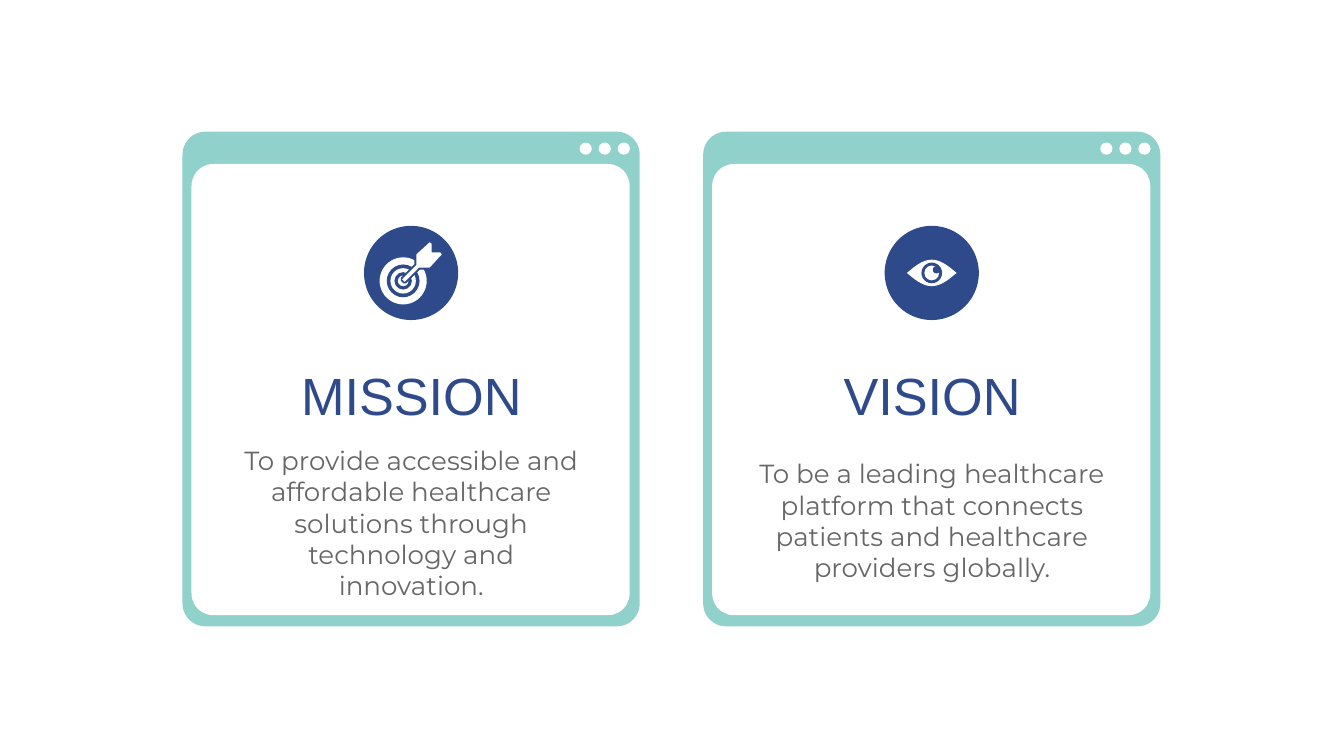
from math import cos, pi

from pptx import Presentation
from pptx.dml.color import RGBColor
from pptx.enum.shapes import MSO_SHAPE as Shape
from pptx.enum.text import MSO_ANCHOR as Anchor, MSO_AUTO_SIZE as AutoSize, PP_ALIGN as Align
from pptx.util import Cm, Pt

TEAL, NAVY, WHITE, GREY = "90D1CB", "2F4A8A", "FFFFFF", "666666"
CARD_WIDTH, CARD_HEIGHT = 8.64, 9.35
CARD_LEFT, CARD_TOP, CARD_PITCH = 3.45, 2.49, 9.84
ICON_SIZE = 1.78
HEADING = {"size": Pt(28), "name": "Arial"}
BODY = {"size": Pt(14), "name": "Montserrat"}


def color(value):
    return RGBColor.from_string(value)


def paint(shape, fill, line=None):
    shape.shadow.inherit = False
    shape.fill.solid()
    shape.fill.fore_color.rgb = color(fill)
    if line:
        shape.line.color.rgb = color(line)
        shape.line.width = Pt(2)
    else:
        shape.line.fill.background()


def add_panel(slide, left, top, width, height, fill):
    panel = slide.shapes.add_shape(Shape.ROUNDED_RECTANGLE, Cm(left), Cm(top), Cm(width), Cm(height))
    panel.adjustments[0] = 0.05
    paint(panel, fill)


def add_disc(slide, x, y, size, fill):
    """Draw a circle around the centre x, y."""
    disc = slide.shapes.add_shape(
        Shape.OVAL, Cm(x - size / 2), Cm(y - size / 2), Cm(size), Cm(size))
    paint(disc, fill)


def add_outline(slide, x, y, points, fill, line=None):
    """Draw a closed polygon whose points are relative to x, y."""
    corners = [(Cm(x + dx), Cm(y + dy)) for dx, dy in points]
    builder = slide.shapes.build_freeform(*corners[0])
    builder.add_line_segments(corners[1:], close=True)
    paint(builder.convert_to_shape(), fill, line)


def write(shape, box, text, font_format, text_color, anchor):
    shape.left, shape.top, shape.width, shape.height = map(Cm, box)
    frame = shape.text_frame
    frame_format = {
        "word_wrap": True, "auto_size": AutoSize.NONE, "vertical_anchor": anchor,
        **{f"margin_{side}": Cm(0.25) for side in ("left", "top", "right", "bottom")},
    }
    for name, value in frame_format.items():
        setattr(frame, name, value)
    paragraph = frame.paragraphs[0]
    paragraph.alignment = Align.CENTER
    run = paragraph.add_run()
    run.text = text
    for name, value in font_format.items():
        setattr(run.font, name, value)
    run.font.color.rgb = color(text_color)


def add_target(slide, x, y):
    x, y = x - 0.15, y + 0.15
    rings = [(0.89, WHITE), (0.62, NAVY), (0.48, WHITE), (0.33, NAVY), (0.2, WHITE)]
    for size, fill in rings:
        add_disc(slide, x, y, size, fill)
    # The arrow is symmetric about the rising diagonal
    half = [(-0.02, -0.03), (0.25, -0.3), (0.25, -0.5), (0.5, -0.73), (0.54, -0.7)]
    arrow = half + [(0.54, -0.54)] + [(-dy, -dx) for dx, dy in reversed(half)]
    add_outline(slide, x, y, arrow, NAVY, NAVY)
    add_outline(slide, x, y, arrow, WHITE)


def add_eye(slide, x, y):
    steps = 24
    upper = [(-0.47 + 0.94 * i / steps, -0.25 * cos(pi * (i / steps - 0.5)))
             for i in range(steps + 1)]
    lower = [(dx, -dy) for dx, dy in reversed(upper[1:-1])]
    add_outline(slide, x, y, upper + lower, WHITE)
    add_disc(slide, x, y, 0.39, NAVY)
    add_disc(slide, x, y, 0.28, WHITE)
    add_disc(slide, x + 0.09, y - 0.06, 0.14, NAVY)


def add_card(slide, left, top, heading, heading_shape, body, body_top, body_height, add_icon):
    # Window frame with its three buttons
    add_panel(slide, left, top, CARD_WIDTH, CARD_HEIGHT, TEAL)
    add_panel(slide, left + 0.17, top + 0.61, 8.28, 8.53, WHITE)
    for i in range(3):
        add_disc(slide, left + 7.62 + 0.36 * i, top + 0.32, 0.23, WHITE)

    # Icon
    x, y = left + CARD_WIDTH / 2, top + 2.67
    add_disc(slide, x, y, ICON_SIZE, NAVY)
    add_icon(slide, x, y)

    # Heading, brought in front of the frame, and statement
    text_left, text_width = left + 0.77, 7.11
    slide.shapes._spTree.append(heading_shape._element)
    write(heading_shape, (text_left, top + 4.13, text_width, 1.3), heading, HEADING, NAVY, Anchor.TOP)
    statement = slide.shapes.add_textbox(0, 0, 0, 0)
    write(statement, (text_left, top + body_top, text_width, body_height), body, BODY, GREY, Anchor.MIDDLE)


def main():
    presentation = Presentation()
    presentation.slide_width, presentation.slide_height = Cm(25.4), Cm(14.29)
    slide = presentation.slides.add_slide(presentation.slide_layouts[5])
    cards = [
        ("MISSION", slide.shapes.title,
         "To provide accessible and affordable healthcare solutions through technology and innovation.",
         5.61, 3.56, add_target),
        ("VISION", slide.shapes.add_textbox(0, 0, 0, 0),
         "To be a leading healthcare platform that connects patients and healthcare providers globally.",
         5.87, 2.95, add_eye),
    ]
    for i, card in enumerate(cards):
        add_card(slide, CARD_LEFT + i * CARD_PITCH, CARD_TOP, *card)
    presentation.save("out.pptx")


if __name__ == "__main__":
    main()
